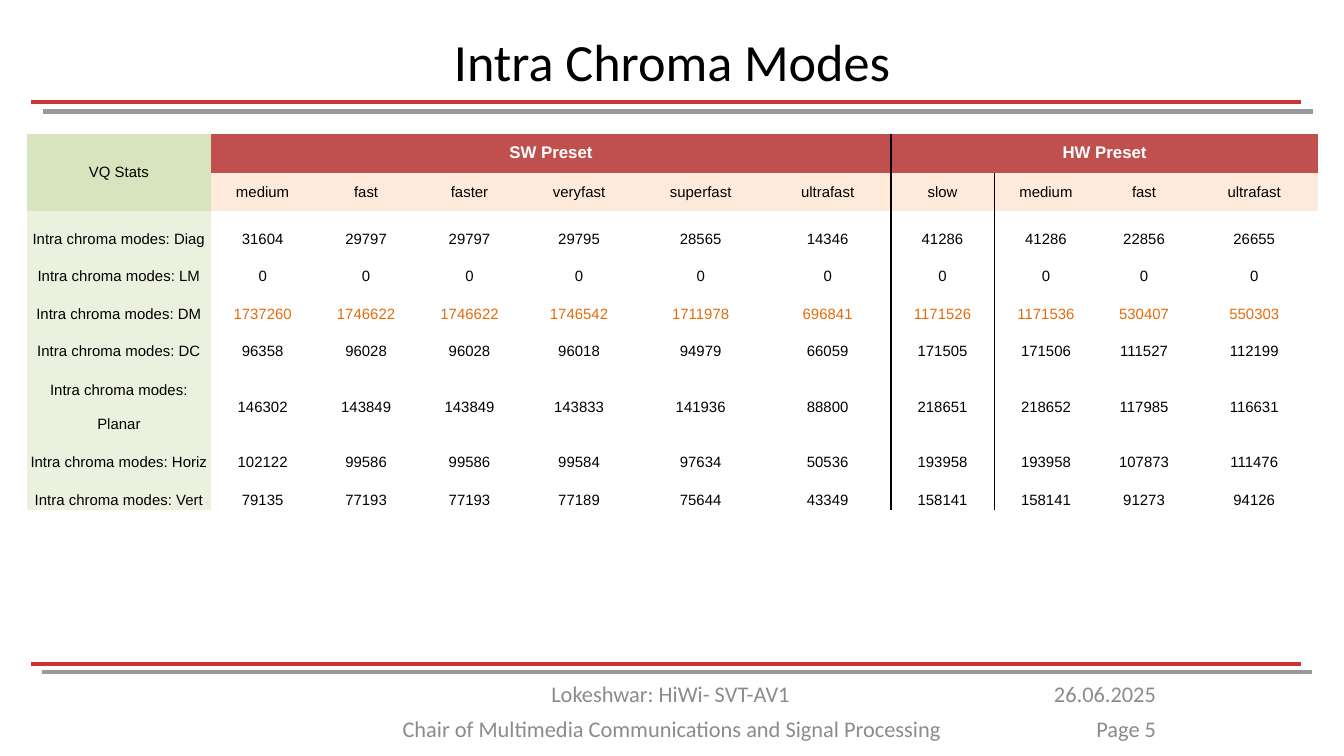
from pptx import Presentation
from pptx.dml.color import RGBColor as RGB
from pptx.enum.shapes import MSO_CONNECTOR as CONN
from pptx.enum.text import MSO_ANCHOR as ANCHOR, PP_ALIGN as ALIGN
from pptx.oxml import parse_xml
from pptx.oxml.ns import nsdecls, qn
from pptx.util import Inches, Pt
from lxml.etree import SubElement

COLORS = {
    "black": "000000", "white": "FFFFFF", "red": "CC3333", "gray": "999999",
    "footer": "8B8B8B", "corner": "D7E4BD", "group": "C0504D",
    "preset": "FDEADA", "label": "EBF1DE", "highlight": "E46C0A",
}
NO_STYLE = "{2D5ABB26-0587-4C30-8999-92F81FD0307C}"

SLIDE_WIDTH = 10
SLIDE_HEIGHT = SLIDE_WIDTH * 9 / 16
COL_WIDTHS = [1.37, 0.77, 0.77, 0.77, 0.86, 0.95, 0.94, 0.77, 0.77, 0.69, 0.95]
ROW_HEIGHT, TALL_ROW_HEIGHT = 0.28, 0.53
SW_PRESETS = ["medium", "fast", "faster", "veryfast", "superfast", "ultrafast"]
HW_PRESETS = ["slow", "medium", "fast", "ultrafast"]
MODES = {
    "Diag": [31604, 29797, 29797, 29795, 28565, 14346, 41286, 41286, 22856, 26655],
    "LM": [0] * 10,
    "DM": [1737260, 1746622, 1746622, 1746542, 1711978, 696841,
           1171526, 1171536, 530407, 550303],
    "DC": [96358, 96028, 96028, 96018, 94979, 66059, 171505, 171506, 111527, 112199],
    "Planar": [146302, 143849, 143849, 143833, 141936, 88800,
               218651, 218652, 117985, 116631],
    "Horiz": [102122, 99586, 99586, 99584, 97634, 50536,
              193958, 193958, 107873, 111476],
    "Vert": [79135, 77193, 77193, 77189, 75644, 43349, 158141, 158141, 91273, 94126],
}


def color(name):
    return RGB.from_string(COLORS[name])


def write(tf, text, size=8, font="Arial", ink="black", bold=False,
          align=ALIGN.CENTER, spacing=None):
    p = tf.paragraphs[0]
    p.alignment = align
    if spacing:
        p.line_spacing = spacing
    r = p.add_run()
    r.text = text
    r.font.size, r.font.name, r.font.bold = Pt(size), font, bold
    r.font.color.rgb = color(ink)


def add_text(s, text, x, y, w, h, anchor=ANCHOR.TOP, **fmt):
    tf = s.shapes.add_textbox(Inches(x), Inches(y), Inches(w), Inches(h)).text_frame
    tf.word_wrap = True
    tf.vertical_anchor = anchor
    write(tf, text, font="Calibri", **fmt)


def add_rule(s, x, y, ink):
    line = s.shapes.add_connector(CONN.STRAIGHT, Inches(x), Inches(y),
                                  Inches(x + 9.45), Inches(y))
    line.line.color.rgb = color(ink)
    line.line.width = Pt(2.25)
    SubElement(line._element.spPr, qn("a:effectLst"))


def fill_cell(cell, text, fill=None, margin=0.07, anchor=ANCHOR.MIDDLE, **fmt):
    cell.margin_left = cell.margin_right = cell.margin_top = Inches(margin)
    cell.margin_bottom = Inches(margin if margin > 0.01 else 0)
    cell.vertical_anchor = anchor
    if fill:
        cell.fill.solid()
        cell.fill.fore_color.rgb = color(fill)
    else:
        cell.fill.background()
    write(cell.text_frame, text, **fmt)


def add_border(cell, side, width):
    tc_pr = cell._tc.get_or_add_tcPr()
    tc_pr.insert(0, parse_xml(
        f'<a:ln{side} {nsdecls("a")} w="{Pt(width)}"><a:solidFill>'
        f'<a:srgbClr val="{COLORS["black"]}"/></a:solidFill></a:ln{side}>'))


def add_stats_table(s):
    n_rows = len(MODES) + 2
    frame = s.shapes.add_table(n_rows, len(COL_WIDTHS), Inches(0.2), Inches(1),
                               Inches(sum(COL_WIDTHS)), Inches(n_rows * ROW_HEIGHT))
    table = frame.table
    table._tbl.tblPr.find(qn("a:tableStyleId")).text = NO_STYLE
    table.first_row = table.horz_banding = False
    for col, width in zip(table.columns, COL_WIDTHS):
        col.width = Inches(width)
    for row, mode in zip(table.rows, [None, None, *MODES]):
        row.height = Inches(TALL_ROW_HEIGHT if mode == "Planar" else ROW_HEIGHT)

    # Header rows
    hw_col = 1 + len(SW_PRESETS)
    table.cell(0, 0).merge(table.cell(1, 0))
    fill_cell(table.cell(0, 0), "VQ Stats", "corner")
    for text, first, last in [("SW Preset", 1, hw_col - 1),
                              ("HW Preset", hw_col, len(COL_WIDTHS) - 1)]:
        table.cell(0, first).merge(table.cell(0, last))
        fill_cell(table.cell(0, first), text, "group", anchor=ANCHOR.TOP,
                  size=9, ink="white", bold=True)
    for c, preset in enumerate(SW_PRESETS + HW_PRESETS, 1):
        fill_cell(table.cell(1, c), preset, "preset")

    # Counts for each mode
    for r, (mode, counts) in enumerate(MODES.items(), 2):
        fill_cell(table.cell(r, 0), f"Intra chroma modes: {mode}", "label",
                  margin=0.01, spacing=2.0)
        for c, count in enumerate(counts, 1):
            fill_cell(table.cell(r, c), str(count), margin=0.01, spacing=2.0,
                      ink="highlight" if mode == "DM" else "black")

    # Dividers: software | hardware, and after the slow preset
    add_border(table.cell(0, 1), "R", 1)
    for r in range(n_rows):
        add_border(table.cell(r, hw_col - 1), "R", 1)
        if r > 0:
            add_border(table.cell(r, hw_col), "R", 0.5)
        add_border(table.cell(r, hw_col), "L", 1)


def main():
    prs = Presentation()
    prs.slide_width, prs.slide_height = Inches(SLIDE_WIDTH), Inches(SLIDE_HEIGHT)
    s = prs.slides.add_slide(prs.slide_layouts[6])

    # Double rules under the title and above the footer
    for x, y, ink in [(0.23, 0.76, "red"), (0.32, 0.83, "gray"),
                      (0.23, 4.94, "red"), (0.31, 5, "gray")]:
        add_rule(s, x, y, ink)

    # Footer
    for text, x, y, w, align in [
        ("Chair of Multimedia Communications and Signal Processing",
         2.6, 5.27, 4.8, ALIGN.CENTER),
        ("Lokeshwar: HiWi- SVT-AV1", 2.59, 5.01, 4.8, ALIGN.CENTER),
        ("26.06.2025", 7.68, 5.01, 1.02, ALIGN.RIGHT),
        ("Page 5", 7.52, 5.27, 1.18, ALIGN.RIGHT),
    ]:
        add_text(s, text, x, y, w, 0.3, size=12, ink="footer", align=align)

    # Title and table
    add_text(s, "Intra Chroma Modes", 0.5, 0.14, 9, 0.62, anchor=ANCHOR.MIDDLE, size=28)
    add_stats_table(s)
    prs.save("out.pptx")


if __name__ == "__main__":
    main()
